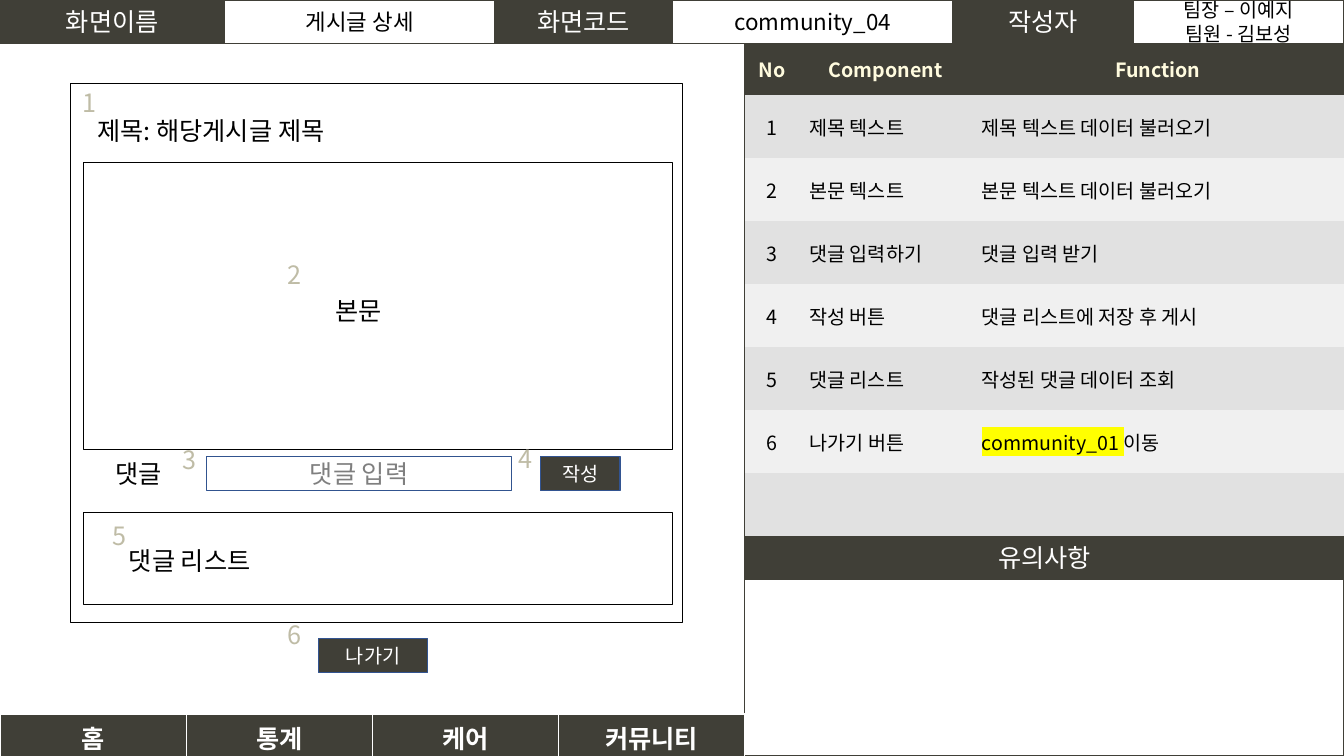
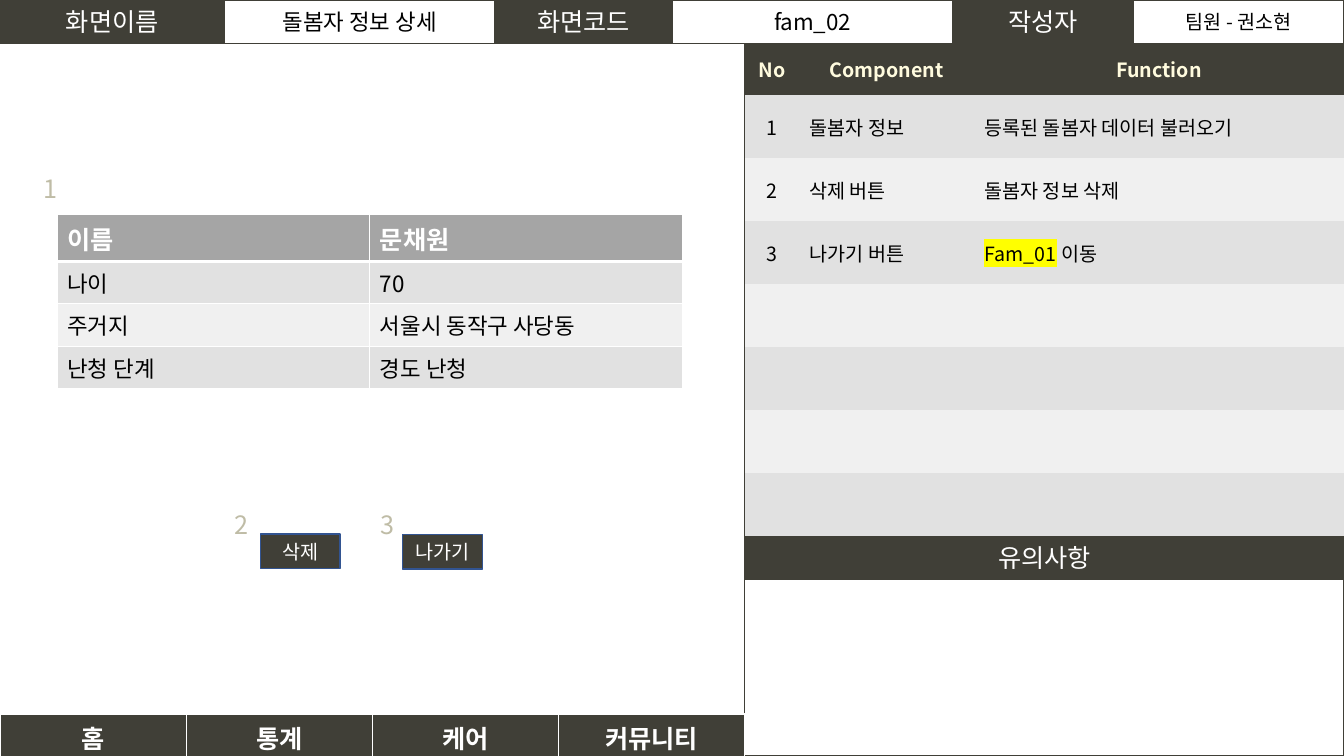
from lxml import etree
from pptx import Presentation
from pptx.dml.color import RGBColor
from pptx.enum import shapes, text
from pptx.oxml.ns import qn
from pptx.util import Pt

FONT = "Noto Sans CJK KR"
COLORS = {
    "dark": "403F37", "white": "FFFFFF", "black": "000000", "cream": "FFFBDE",
    "marker": "BFBCA6", "hint": "7F7F7F", "button_line": "325491",
    "input_line": "31538F", "header_rule": "4472C4", "gray": "A5A5A5",
    "odd": "E1E1E1", "even": "F0F0F0", "highlight": "FFFF00",
}
WIDTH, HEIGHT = 960, 540
HEADER_H = 31
PANEL_X = 532
NAV_Y = 510
HEADER_WIDTHS = (160.5, 193, 127, 200, 129, 150.5)
HEAD_ROW_H, FUNCTION_ROW_H, FUNCTION_ROWS = 37, 45, 7
NOTES_Y = HEADER_H + HEAD_ROW_H + FUNCTION_ROW_H * FUNCTION_ROWS
BUTTON_H = 24.5
WIREFRAME_BOX = (0, HEADER_H, PANEL_X, NAV_Y - HEADER_H)
CENTER, LEFT = text.PP_ALIGN.CENTER, text.PP_ALIGN.LEFT


def rgb(name):
    return RGBColor.from_string(COLORS[name])


def style_text(frame, size, color, align=CENTER, bold=False):
    for paragraph in frame.paragraphs:
        paragraph.alignment = align
        font = paragraph.font
        font.name, font.size, font.bold = FONT, Pt(size), bold
        font.color.rgb = rgb(color)
        latin = paragraph._p.pPr.find(qn("a:defRPr")).find(qn("a:latin"))
        east_asian = etree.Element(qn("a:ea"), typeface=FONT)
        latin.addnext(east_asian)


def format_box(box, words, size, color, fill, line, line_width):
    if fill:
        box.fill.solid()
        box.fill.fore_color.rgb = rgb(fill)
    else:
        box.fill.background()
    box.line.color.rgb = rgb(line)
    box.line.width = Pt(line_width)
    frame = box.text_frame
    frame.word_wrap = True
    frame.auto_size = text.MSO_AUTO_SIZE.NONE
    frame.vertical_anchor = text.MSO_ANCHOR.MIDDLE
    if words:
        frame.text = words
        style_text(frame, size, color)


def add_box(slide, x, y, w, h, words="", size=18, color="white", fill=None,
            line="dark", line_width=1):
    box = slide.shapes.add_shape(shapes.MSO_SHAPE.RECTANGLE,
                                 Pt(x), Pt(y), Pt(w), Pt(h))
    box.shadow.inherit = False
    format_box(box, words, size, color, fill, line, line_width)


def add_outline(slide, x, y, w, h):
    add_box(slide, x, y, w, h, line="black", line_width=0.75)


def add_button(slide, x, y, w, words):
    add_box(slide, x, y, w, BUTTON_H, words, 14, fill="dark", line="button_line")


def add_label(slide, x, y, w, words, color="black"):
    label = slide.shapes.add_textbox(Pt(x), Pt(y), Pt(w), Pt(29))
    frame = label.text_frame
    frame.word_wrap = False
    frame.auto_size = text.MSO_AUTO_SIZE.SHAPE_TO_FIT_TEXT
    frame.text = words
    style_text(frame, 18, color, LEFT)


def add_markers(slide, left, top, places):
    """Number the components of a wireframe, in order."""
    for number, (x, y) in enumerate(places, 1):
        add_label(slide, left + x, top + y, 24.5, str(number), "marker")


def add_rule(slide, x1, y1, x2, y2, color):
    rule = slide.shapes.add_connector(shapes.MSO_CONNECTOR.STRAIGHT,
                                      Pt(x1), Pt(y1), Pt(x2), Pt(y2))
    rule.line.color.rgb = rgb(color)
    rule.line.width = Pt(0.5)
    etree.SubElement(rule._element.spPr, qn("a:effectLst"))
    return rule


def add_grid(slide, x, y, col_widths, row_heights):
    grid = slide.shapes.add_table(
        len(row_heights), len(col_widths), Pt(x), Pt(y),
        Pt(sum(col_widths)), Pt(sum(row_heights))).table
    grid.first_row = grid.horz_banding = False
    for column, width in zip(grid.columns, col_widths):
        column.width = Pt(width)
    for row, height in zip(grid.rows, row_heights):
        row.height = Pt(height)
    return grid


def format_cell(cell, fill, side=0, bottom=0):
    """Fill a cell; white borders, where a width of 0 means none."""
    properties = cell._tc.get_or_add_tcPr()
    for edge, width in (("L", side), ("R", side), ("T", side), ("B", bottom)):
        border = etree.SubElement(properties, qn("a:ln" + edge), w=str(Pt(width)))
        if width:
            paint = etree.SubElement(border, qn("a:solidFill"))
            etree.SubElement(paint, qn("a:srgbClr"), val=COLORS["white"])
        else:
            etree.SubElement(border, qn("a:noFill"))
    cell.fill.solid()
    cell.fill.fore_color.rgb = rgb(fill)


def band(row):
    return "odd" if row % 2 else "even"


def write_link(cell, target, rest):
    """Write a highlighted screen code and the words after it."""
    paragraph = cell.text_frame.paragraphs[0]
    code = paragraph.add_run()
    code.text = target
    highlight = etree.SubElement(code._r.get_or_add_rPr(), qn("a:highlight"))
    etree.SubElement(highlight, qn("a:srgbClr"), val=COLORS["highlight"])
    paragraph.add_run().text = rest


def add_header(slide, screen_name, screen_code, authors):
    rule = add_rule(slide, 188.5, HEADER_H, 955.5, HEADER_H, "header_rule")
    slide.shapes._spTree.insert(2, rule._element)
    fields = (("화면이름", screen_name, 16), ("화면코드", screen_code, 16),
              ("작성자", authors, 14))
    x = 0
    for index, (caption, value, size) in enumerate(fields):
        caption_w, value_w = HEADER_WIDTHS[2 * index:2 * index + 2]
        add_box(slide, x, 0, caption_w, HEADER_H, caption, fill="dark")
        x += caption_w
        if value == screen_name:
            title = slide.shapes.title
            title.left, title.top = Pt(x), Pt(0)
            title.width, title.height = Pt(value_w), Pt(HEADER_H)
            format_box(title, value, size, "black", "white", "dark", 1)
        else:
            add_box(slide, x, 0, value_w, HEADER_H, value, size, "black", "white")
        x += value_w


def add_function_table(slide, x, y, col_widths, functions):
    grid = add_grid(slide, x, y, col_widths,
                    [HEAD_ROW_H] + [FUNCTION_ROW_H] * FUNCTION_ROWS)
    rows = [("No", "Component", "Function")]
    rows += [(str(no), *function) for no, function in enumerate(functions, 1)]
    rows += [("", "", "")] * (FUNCTION_ROWS + 1 - len(rows))
    for r, row in enumerate(rows):
        for c, words in enumerate(row):
            cell = grid.cell(r, c)
            format_cell(cell, band(r) if r else "dark")
            cell.vertical_anchor = text.MSO_ANCHOR.MIDDLE
            if isinstance(words, tuple):
                write_link(cell, *words)
            else:
                cell.text = words
            style_text(cell.text_frame, 14, "black" if r else "cream",
                       LEFT if r and c else CENTER, bold=r == 0)


def add_notes_panel(slide, x, y, w, h):
    add_box(slide, x, y, w, HEADER_H, "유의사항", fill="dark")
    add_box(slide, x, y + HEADER_H, w, h - HEADER_H, fill="white")


def add_navigation(slide, x, y, w):
    menus = ("홈", "통계", "케어", "커뮤니티")
    grid = add_grid(slide, x, y, [w / len(menus)] * len(menus), [29.5])
    for cell, menu in zip(grid.rows[0].cells, menus):
        format_cell(cell, "dark", 1, 3)
        cell.text = menu
        style_text(cell.text_frame, 18, "white", bold=True)


def add_post_wireframe(slide, left, top, width, height):
    inner_x, inner_w = left + 60, 420.5
    comment_y = top + 295
    add_outline(slide, left + 50.5, top + 29, 437, 384.5)
    add_label(slide, left + 62.5, top + 47.5, 195, "제목: 해당게시글 제목")
    add_outline(slide, inner_x, top + 85, inner_w, 205)
    add_label(slide, left + 232.5, top + 176.5, 51, "본문")
    add_label(slide, left + 75.5, comment_y - 2, 51, "댓글")
    add_box(slide, left + 147.5, comment_y, 218, BUTTON_H, "댓글 입력",
            color="hint", line="input_line")
    add_button(slide, left + 386, comment_y, 57, "작성")
    add_outline(slide, inner_x, top + 335, inner_w, 66)
    add_label(slide, left + 85, top + 355, 111.5, "댓글 리스트")
    add_button(slide, left + 227.5, top + 425, 78, "나가기")
    add_markers(slide, left, top, ((52, 27.5), (198, 150.5), (123, 283),
                                   (363.5, 282), (73.5, 337), (198.5, 408)))


def add_profile_wireframe(slide, left, top, width, height):
    profile = (("이름", "문채원"), ("나이", "70"),
               ("주거지", "서울시 동작구 사당동"), ("난청 단계", "경도 난청"))
    grid = add_grid(slide, left + 41, top + 122.5, [223.25] * 2,
                    [29.25] * len(profile))
    for r, row in enumerate(profile):
        for c, words in enumerate(row):
            cell = grid.cell(r, c)
            format_cell(cell, band(r) if r else "gray", 1, 1 if r else 3)
            cell.text = words
            style_text(cell.text_frame, 16 if r else 18,
                       "black" if r else "white", LEFT, bold=r == 0)
    add_button(slide, left + 186, top + 350.5, 57, "삭제")
    add_button(slide, left + 287.5, top + 351, 57, "나가기")
    add_markers(slide, left, top, ((24, 89.5), (160.5, 329.5), (265, 329.5)))


def add_screen(deck, name, code, authors, col_widths, functions, add_wireframe):
    slide = deck.slides.add_slide(deck.slide_layouts[5])
    add_header(slide, name, code, authors)
    add_notes_panel(slide, PANEL_X, NOTES_Y, WIDTH - PANEL_X, HEIGHT - NOTES_Y)
    add_function_table(slide, PANEL_X, HEADER_H, col_widths, functions)
    add_rule(slide, PANEL_X, HEADER_H, PANEL_X, HEIGHT, "dark")
    add_navigation(slide, 0, NAV_Y, PANEL_X)
    add_wireframe(slide, *WIREFRAME_BOX)


def main():
    deck = Presentation()
    deck.slide_width, deck.slide_height = Pt(WIDTH), Pt(HEIGHT)
    add_screen(deck, "게시글 상세", "community_04", "팀장 – 이예지\n팀원 - 김보성",
               (39, 123, 266),
               (("제목 텍스트", "제목 텍스트 데이터 불러오기"),
                ("본문 텍스트", "본문 텍스트 데이터 불러오기"),
                ("댓글 입력하기", "댓글 입력 받기"),
                ("작성 버튼", "댓글 리스트에 저장 후 게시"),
                ("댓글 리스트", "작성된 댓글 데이터 조회"),
                ("나가기 버튼", ("community_01 ", "이동"))),
               add_post_wireframe)
    add_screen(deck, "돌봄자 정보 상세", "fam_02", "팀원 - 권소현",
               (39, 125, 264),
               (("돌봄자 정보", "등록된 돌봄자 데이터 불러오기"),
                ("삭제 버튼", "돌봄자 정보 삭제"),
                ("나가기 버튼", ("Fam_01", " 이동"))),
               add_profile_wireframe)
    deck.save("out.pptx")


if __name__ == "__main__":
    main()
